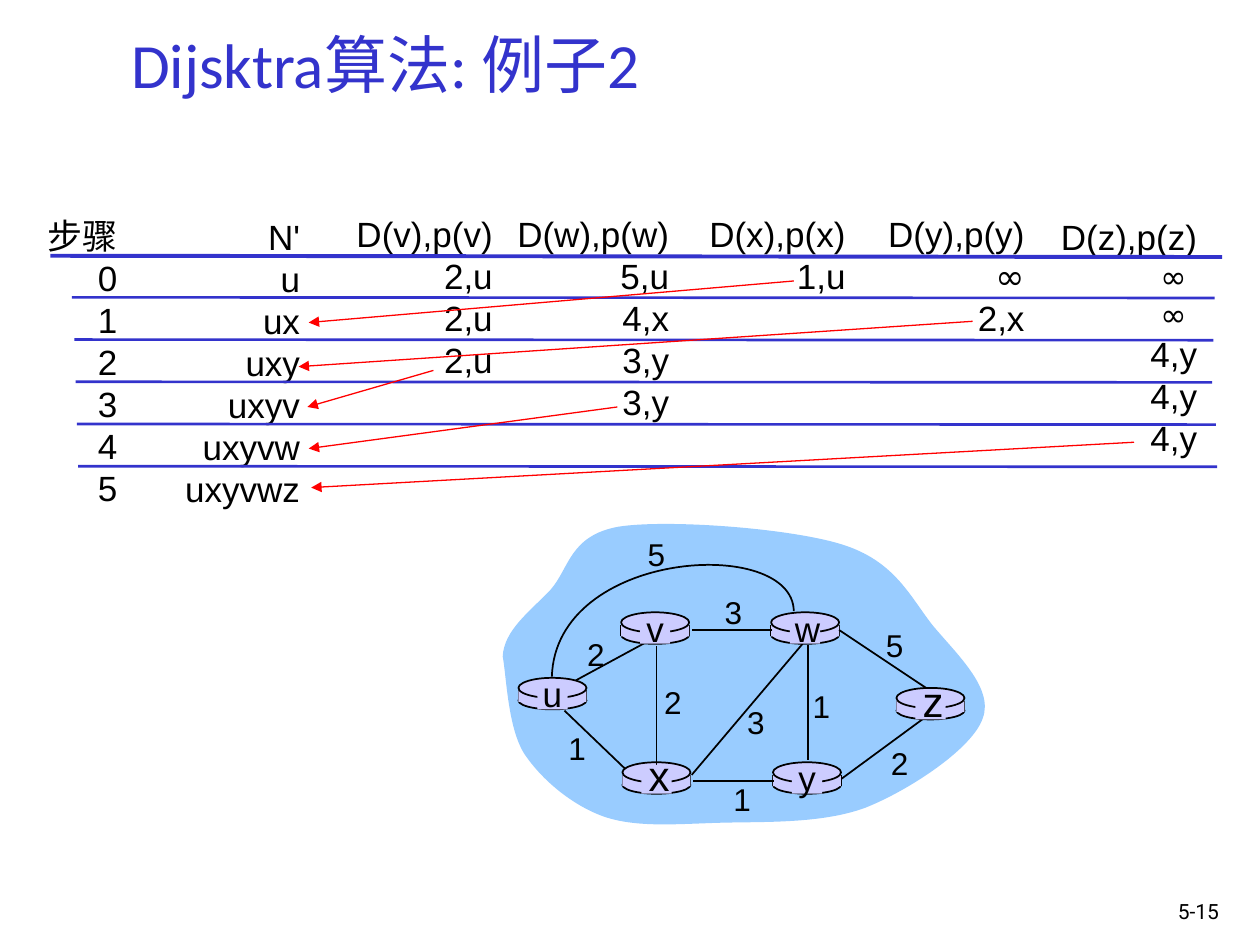
from dataclasses import dataclass
from itertools import chain

from lxml import etree
from pptx import Presentation
from pptx.dml.color import RGBColor
from pptx.enum.shapes import MSO_CONNECTOR, MSO_SHAPE
from pptx.enum.text import MSO_ANCHOR, MSO_AUTO_SIZE, PP_ALIGN
from pptx.oxml.ns import qn
from pptx.util import Inches, Pt

STRAIGHT = MSO_CONNECTOR.STRAIGHT
ELLIPSE, RECTANGLE = MSO_SHAPE.OVAL, MSO_SHAPE.RECTANGLE
LEFT, CENTER, RIGHT = PP_ALIGN.LEFT, PP_ALIGN.CENTER, PP_ALIGN.RIGHT
MIDDLE = MSO_ANCHOR.MIDDLE
FIT_TEXT = MSO_AUTO_SIZE.SHAPE_TO_FIT_TEXT
TITLE_ONLY = 5
COLUMNS = 100  # square grid cells across the slide


@dataclass(frozen=True)
class Theme:
    ink: str = "000000"
    accent: str = "3333CC"
    arrow: str = "FF0000"
    cloud: str = "99CCFF"
    router: str = "CCCCFF"
    body_font: str = "Arial"
    title_font: str = "Calibri"
    symbol_font: str = "Comic Neue"
    number_font: str = "Roboto"
    title_size: int = 36
    large_size: int = 24
    body_size: int = 20
    small_size: int = 18
    number_size: int = 12
    leading: float = 1.2


class SlideBuilder:
    """Draws on one slide; all lengths are in grid cells."""

    def __init__(self, deck, theme):
        self.theme = theme
        self.cell = deck.slide_width / COLUMNS
        self.page = deck.slides.add_slide(deck.slide_layouts[TITLE_ONLY])
        self.shapes = self.page.shapes

    def units(self, *cells):
        return [round(value * self.cell) for value in cells]

    def start_group(self):
        self.shapes = self.page.shapes.add_group_shape().shapes

    def end_group(self):
        self.shapes = self.page.shapes

    def span(self, para, text, size, font, color):
        span = para.add_run()
        span.text = text
        formats = {"size": Pt(size), "name": font}
        for name, value in formats.items():
            setattr(span.font, name, value)
        span.font.color.rgb = RGBColor.from_string(color)

    def title(self, text, *area):
        box = self.page.shapes.title
        for name, value in zip(("left", "top", "width", "height"), self.units(*area)):
            setattr(box, name, value)
        box.text_frame.vertical_anchor = MIDDLE
        para = box.text_frame.paragraphs[0]
        para.alignment = LEFT
        theme = self.theme
        self.span(para, text, theme.title_size, theme.title_font, theme.accent)

    def text(self, lines, *area, size=None, font=None, align=CENTER, symbol_size=None):
        theme = self.theme
        size = size or theme.body_size
        frame = self.shapes.add_textbox(*self.units(*area)).text_frame
        formats = {"word_wrap": False, "auto_size": FIT_TEXT}
        for name, value in formats.items():
            setattr(frame, name, value)
        for index, line in enumerate(lines):
            para = frame.add_paragraph() if index else frame.paragraphs[0]
            symbol = "∞" in line
            line_size = symbol_size if symbol and symbol_size else size
            line_font = theme.symbol_font if symbol else font or theme.body_font
            para.alignment = align
            para.line_spacing = Pt(line_size * theme.leading)
            self.span(para, line, line_size, line_font, theme.ink)

    def line(self, start, end, color=None, weight=1, arrow=False):
        line = self.shapes.add_connector(STRAIGHT, *self.units(*start, *end))
        line.line.color.rgb = RGBColor.from_string(color or self.theme.ink)
        line.line.width = Pt(weight)
        properties = line._element.spPr
        if arrow:
            etree.SubElement(properties.find(qn("a:ln")), qn("a:tailEnd"), type="triangle")
        etree.SubElement(properties, qn("a:effectLst"))

    def style(self, shape, fill, outlined):
        shape.shadow.inherit = False
        if fill:
            shape.fill.solid()
            shape.fill.fore_color.rgb = RGBColor.from_string(fill)
        else:
            shape.fill.background()
        if outlined:
            shape.line.color.rgb = RGBColor.from_string(self.theme.ink)
            shape.line.width = Pt(1)
        else:
            shape.line.fill.background()

    def shape(self, kind, *area, outlined=False):
        shape = self.shapes.add_shape(kind, *self.units(*area))
        self.style(shape, self.theme.router, outlined)

    def curve(self, start, segments, fill=None):
        """Draw joined cubic curves; a filled curve is closed and has no outline."""
        builder = self.shapes.build_freeform(*self.units(*start), scale=1.0)
        points = [self.units(*point) for point in chain.from_iterable(segments)]
        builder.add_line_segments(points, close=bool(fill))
        shape = builder.convert_to_shape()
        steps = list(shape._element.iter(qn("a:lnTo")))
        for index in range(0, len(points), 3):
            cubic = etree.Element(qn("a:cubicBezTo"))
            steps[index].addprevious(cubic)
            for step in steps[index:index + 3]:
                cubic.append(step[0])
                step.getparent().remove(step)
        self.style(shape, fill, outlined=not fill)

    def router(self, x, y):
        width = 5.4
        self.shape(ELLIPSE, x, y + 1.1, width, 1.4, outlined=True)
        for side in (x, x + width):
            self.line((side, y + 1), (side, y + 1.9))
        self.shape(RECTANGLE, x, y + 1, width, 0.9)
        self.shape(ELLIPSE, x, y, width, 1.6, outlined=True)

    def router_label(self, name, x, y, large):
        theme = self.theme
        size = theme.large_size if large else theme.body_size
        left, middle = (x + 1.1, y + 1) if large else (x + 0.9, y + 1.25)
        height = 1 + size * theme.leading / 7.2
        self.shape(RECTANGLE, x + 1.5, y + 0.2, 2.4, 2.3)
        self.text([name], left, middle - height / 2, 3.6, height, size=size)


# left, top, width, lines
STEP_COLUMNS = [
    (2.7, 16.5, 7.6, ["步骤", "0", "1", "2", "3", "4", "5"]),
    (13.7, 16.6, 11.1, ["N'", "u", "ux", "uxy", "uxyv", "uxyvw", "uxyvwz"]),
    (27.3, 16.4, 12.8, ["D(v),p(v)", "2,u", "2,u", "2,u"]),
    (39.7, 16.4, 14.4, ["D(w),p(w)", "5,u", "4,x", "3,y", "3,y"]),
    (55.3, 16.4, 12.8, ["D(x),p(x)", "1,u"]),
    (69.5, 16.4, 12.8, ["D(y),p(y)", "∞", "2,x"]),
    (83.2, 16.6, 12.8, ["D(z),p(z)", "∞ ", "∞ ", "4,y", "4,y", "4,y"]),
]
RULE_ENDS = [(5.7, 96.4), (5.9, 96.3), (6, 96.2), (6.1, 96.5), (6.2, 96.6)]
CHOICES = [
    ((63, 22.3), (24.5, 25.6)), ((77.2, 25.5), (23.7, 29.1)),
    ((34.4, 29.4), (24.4, 32.3)), ((49, 32.3), (24.5, 35.6)),
    ((90, 35.1), (24.7, 38.7)),
]
ROUTERS = {
    "u": (41.15, 53.8), "x": (49.4, 60.5), "v": (49.3, 48.6),
    "w": (61.2, 48.6), "y": (61.35, 60.5), "z": (71.15, 54.6),
}
LARGE_LABELS = "xz"
EDGES = [
    ((64.1, 51.2), (64.1, 60.3)), ((52.1, 51.3), (52.1, 60.7)),
    ((54.9, 61.5), (63.7, 51.1)), ((66.8, 61.8), (73.2, 57.1)),
    ((61.4, 62), (55, 62)), ((49.6, 61), (44.8, 56.4)),
    ((61.3, 50), (54.9, 50)), ((73.5, 54.6), (66.6, 50)),
]
COSTS = [
    ("2", 45.6, 49.9), ("2", 51.7, 53.7), ("1", 44.1, 57.4), ("3", 58.3, 55.3),
    ("1", 57.2, 61.4), ("1", 63.5, 54), ("2", 69.7, 58.6), ("5", 69.3, 49.2),
    ("3", 56.5, 46.6), ("5", 50.4, 42),
]
CLOUD = [
    ((40, 50), (42.1, 48.5), (43.7, 46.8)), ((45.2, 45.1), (45.2, 42.5), (49.1, 41.8)),
    ((52.9, 41.2), (62.6, 41.9), (66.8, 43.2)), ((71, 44.5), (72.2, 47.3), (74, 49.6)),
    ((75.9, 51.9), (78.9, 54.6), (78, 57)), ((77.2, 59.4), (72.2, 62.7), (68.7, 64.1)),
    ((65.2, 65.4), (60.6, 65.2), (57.1, 65.3)), ((53.7, 65.4), (50.5, 65.7), (47.9, 64.8)),
    ((45.4, 63.9), (43, 61.9), (41.6, 59.8)), ((40.3, 57.7), (40.2, 53.7), (39.9, 52.1)),
]


def draw_steps(slide):
    theme = slide.theme
    for left, top, width, lines in STEP_COLUMNS:
        height = 1 + len(lines) * theme.body_size * theme.leading / 7.2
        symbol_size = theme.small_size if lines[0].startswith("D(z)") else None
        slide.text(lines, left, top, width, height, align=RIGHT, symbol_size=symbol_size)
    slide.line((4, 20.3), (97, 20.4), theme.accent, 2.25)
    for row, (left, right) in enumerate(RULE_ENDS):
        y = 23.6 + 3.35 * row
        slide.line((left, y), (right, y + 0.05), theme.accent, 1.5)


def draw_network(slide):
    slide.start_group()
    slide.curve((39.9, 52.1), CLOUD, slide.theme.cloud)
    slide.line((45.7, 54), (51.6, 50.8))
    for place in ROUTERS.values():
        slide.router(*place)
    for start, end in EDGES:
        slide.line(start, end)
    slide.curve((63, 48.5), [((62.9, 42.5), (44.1, 43.6), (43.8, 53.7))])
    for name, place in ROUTERS.items():
        slide.router_label(name, *place, large=name in LARGE_LABELS)
    for cost, left, top in COSTS:
        slide.text([cost], left, top, 3.4, 4, size=slide.theme.small_size)
    slide.end_group()


def main():
    deck = Presentation()
    deck.slide_width, deck.slide_height = Inches(10), Inches(7.5)
    theme = Theme()
    slide = SlideBuilder(deck, theme)
    slide.title("Dijsktra算法: 例子2", 9.4, -1.2, 85, 12.5)
    draw_steps(slide)
    draw_network(slide)
    for start, end in CHOICES:
        slide.line(start, end, theme.arrow, 0.75, arrow=True)
    slide.text(["5-15"], 92.5, 70.8, 6, 3, size=theme.number_size,
               font=theme.number_font, align=LEFT)
    deck.save("out.pptx")


if __name__ == "__main__":
    main()
